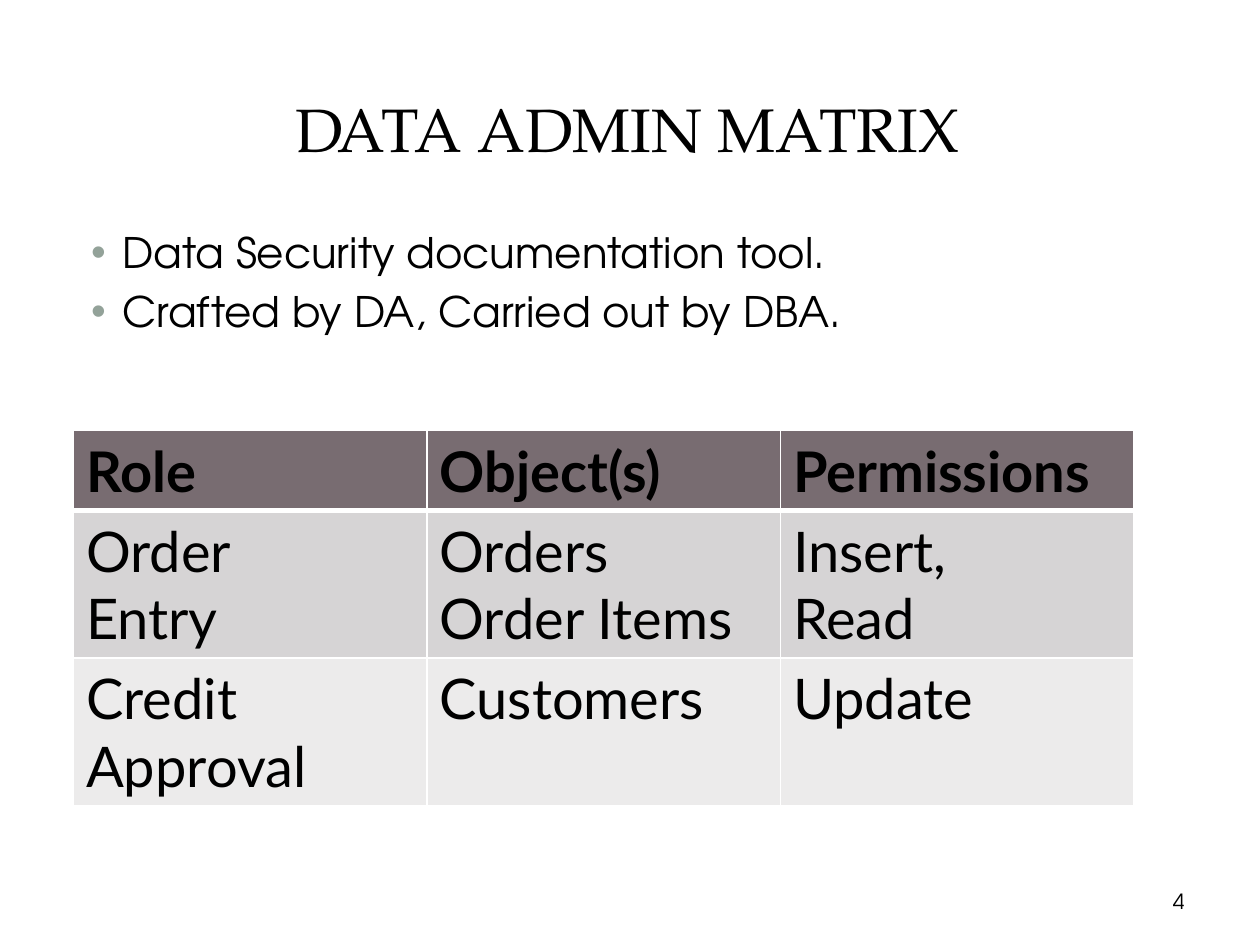
from lxml import etree
from pptx import Presentation, util as u
from pptx.dml.color import RGBColor
from pptx.enum import shapes, text
from pptx.oxml import ns

Pt = u.Pt
HUES = {"ink": "000000", "dot": "93A299", "head": "786C71", "dark": "D6D4D5",
        "light": "ECEBEB", "rule": "FFFFFF", "panel": "FFFFFF"}
SERIF, SANS, GRID = "TeX Gyre Pagella", "TeX Gyre Adventor", "Lato"


def add_run(para, words, size, font, bold=False):
    run = para.add_run()
    run.text = words
    run.font.size = Pt(size)
    run.font.name = font
    run.font.bold = bold
    run.font.color.rgb = RGBColor.from_string(HUES["ink"])


def add_box(left, top, width, height, anchor):
    box = slide.shapes.add_textbox(Pt(left), Pt(top), Pt(width), Pt(height))
    frame = box.text_frame
    frame.word_wrap = True
    frame.vertical_anchor = anchor
    return frame


deck = Presentation()
deck.slide_width, deck.slide_height = Pt(720), Pt(540)
slide = deck.slides.add_slide(deck.slide_layouts[6])

# Backing panels: page, title band, title inset
KIND = shapes.MSO_SHAPE
panels = [
    (KIND.ROUNDED_RECTANGLE, 7.2, 7.9, 705.6, 525, 100),
    (KIND.RECTANGLE, 21.6, 21.6, 676.8, 104.4, 83),
    (KIND.RECTANGLE, 29.5, 29.5, 660.2, 87.8, 100),
]
for kind, left, top, width, height, alpha in panels:
    panel = slide.shapes.add_shape(kind, Pt(left), Pt(top), Pt(width), Pt(height))
    panel.shadow.inherit = False
    panel.line.fill.background()
    panel.fill.solid()
    panel.fill.fore_color.rgb = RGBColor.from_string(HUES["panel"])
    if kind == KIND.ROUNDED_RECTANGLE:
        panel.adjustments[0] = 0.02
    if alpha < 100:
        tint = panel._element.spPr.find(".//" + ns.qn("a:srgbClr"))
        etree.SubElement(tint, ns.qn("a:alpha"), val=str(alpha * 1000))

# Title
para = add_box(33.5, 32, 650, 82, text.MSO_ANCHOR.MIDDLE).paragraphs[0]
para.alignment = text.PP_ALIGN.CENTER
add_run(para, "DATA ADMIN MATRIX", 35, SERIF)

# Bullets
frame = add_box(36, 126, 648, 108, text.MSO_ANCHOR.TOP)
points = ["Data Security documentation tool.", "Crafted by DA, Carried out by DBA."]
for i, words in enumerate(points):
    para = frame.add_paragraph() if i else frame.paragraphs[0]
    para.space_before = Pt(4.8)
    add_run(para, words, 24, SANS)
    props = para._p.get_or_add_pPr()
    props.set("marL", str(Pt(27)))
    props.set("indent", str(Pt(-18)))
    tint = etree.SubElement(props, ns.qn("a:buClr"))
    etree.SubElement(tint, ns.qn("a:srgbClr"), val=HUES["dot"])
    etree.SubElement(props, ns.qn("a:buFont"), typeface="Arial")
    etree.SubElement(props, ns.qn("a:buChar"), char="•")

# Page number
para = add_box(516, 500.5, 168, 29, text.MSO_ANCHOR.MIDDLE).paragraphs[0]
para.alignment = text.PP_ALIGN.RIGHT
add_run(para, "4", 12, SANS)

# Permission table: fill, row height, cells
rows = [
    ("head", 45, ["Role", "Object(s)", "Permissions"]),
    ("dark", 84.4, ["Order\nEntry", "Orders\nOrder Items", "Insert,\nRead"]),
    ("light", 84.4, ["Credit Approval", "Customers", "Update"]),
]
table = slide.shapes.add_table(3, 3, Pt(42), Pt(246), Pt(606), Pt(213.8)).table
for col in table.columns:
    col.width = Pt(202)
for r, (fill, height, cells) in enumerate(rows):
    table.rows[r].height = Pt(height)
    for c, words in enumerate(cells):
        cell = table.cell(r, c)
        para = cell.text_frame.paragraphs[0]
        for i, line in enumerate(words.split("\n")):
            if i:
                para.add_line_break()
            add_run(para, line, 32, GRID, bold=r == 0)

        # Borders, with a heavy rule between head and body
        props = cell._tc.get_or_add_tcPr()
        for side in "LRTB":
            thick = (r, side) in [(0, "B"), (1, "T")]
            edge = etree.SubElement(props, ns.qn("a:ln" + side),
                                    w=str(Pt(3 if thick else 1)))
            paint = etree.SubElement(edge, ns.qn("a:solidFill"))
            etree.SubElement(paint, ns.qn("a:srgbClr"), val=HUES["rule"])
        cell.fill.solid()
        cell.fill.fore_color.rgb = RGBColor.from_string(HUES[fill])

deck.save("out.pptx")
